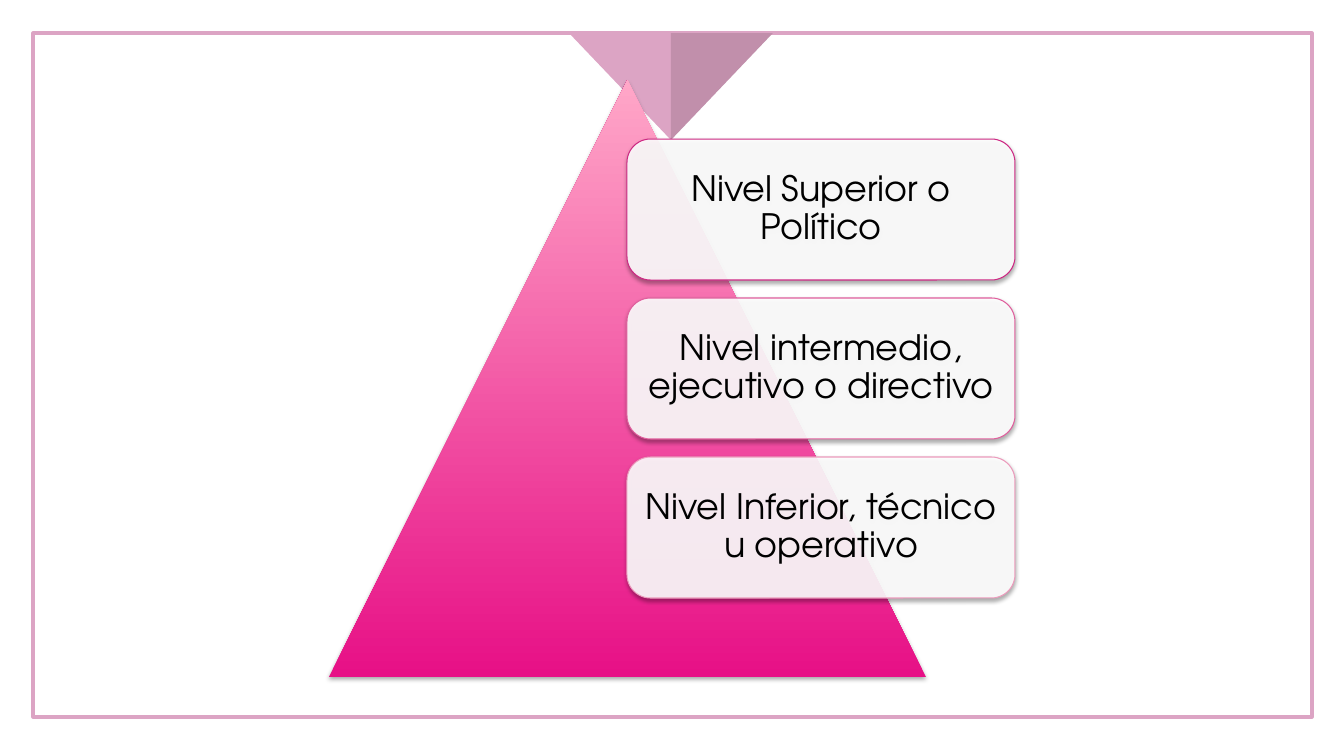
from lxml import etree
from pptx import Presentation
from pptx import util as u
from pptx.dml.color import RGBColor
from pptx.enum import shapes, text
from pptx.oxml import parse_xml
from pptx.oxml.ns import nsdecls, qn

HUES = {
    "frame": "DCA4C4",
    "fold": "C18FAB",
    "base": "E71086",
    "tip": "FFA7C8",
    "card": "FFFFFF",
    "ink": "000000",
    "high": "CE2984",
    "mid": "E05F9D",
    "low": "EC9BBC",
}
LEVELS = [
    ("Nivel Superior o Político", "high"),
    ("Nivel intermedio, ejecutivo o directivo", "mid"),
    ("Nivel Inferior, técnico u operativo", "low"),
]
KIND = shapes.MSO_SHAPE


class Deck:
    font = "TeX Gyre Adventor"
    size = 25
    scale = 914400 / 100.8

    def __init__(self, wide, high):
        self.show = Presentation()
        self.show.slide_width = self.px(wide)
        self.show.slide_height = self.px(high)
        self.slide = self.show.slides.add_slide(self.show.slide_layouts[6])

    def px(self, count):
        return u.Emu(round(count * self.scale))

    def hue(self, name):
        return RGBColor.from_string(HUES[name])

    def shape(self, kind, box, fill=None, line=None, width=0.75):
        item = self.slide.shapes.add_shape(kind, *map(self.px, box))
        item.shadow.inherit = False
        if fill:
            item.fill.solid()
            item.fill.fore_color.rgb = self.hue(fill)
        else:
            item.fill.background()
        if line:
            item.line.color.rgb = self.hue(line)
            item.line.width = u.Pt(width)
        else:
            item.line.fill.background()
        return item

    def shade(self, item):
        glow = parse_xml(
            f'<a:outerShdw {nsdecls("a")} blurRad="{u.Pt(3.1)}" dist="{u.Pt(1.8)}" '
            'dir="5400000" rotWithShape="0"><a:srgbClr val="000000">'
            '<a:alpha val="35000"/></a:srgbClr></a:outerShdw>'
        )
        item._element.spPr.find(qn("a:effectLst")).append(glow)

    def wedge(self, box, fill, flip=False):
        item = self.shape(KIND.RIGHT_TRIANGLE, box, fill)
        item.rotation = 180
        if flip:
            item._element.spPr.find(qn("a:xfrm")).set("flipH", "1")

    def peak(self, box, low, high):
        item = self.shape(KIND.ISOSCELES_TRIANGLE, box)
        item.fill.gradient()
        item.fill.gradient_angle = 90
        for stop, name in zip(item.fill.gradient_stops, (low, high)):
            stop.color.rgb = self.hue(name)
        self.shade(item)

    def card(self, box, words, line):
        item = self.shape(KIND.ROUNDED_RECTANGLE, box, "card", line)
        tint = item._element.spPr.find(qn("a:solidFill"))[0]
        etree.SubElement(tint, qn("a:alpha")).set("val", "90000")
        self.shade(item)
        frame = item.text_frame
        frame.word_wrap = True
        frame.vertical_anchor = text.MSO_ANCHOR.MIDDLE
        frame.margin_left = frame.margin_right = self.px(10)
        frame.margin_top = frame.margin_bottom = self.px(10)
        para = frame.paragraphs[0]
        para.alignment = text.PP_ALIGN.CENTER
        para.line_spacing = 0.9
        run = para.add_run()
        run.text = words
        run.font.name = self.font
        run.font.size = u.Pt(self.size)
        run.font.color.rgb = self.hue("ink")


def main():
    deck = Deck(1344, 756)
    deck.shape(KIND.RECTANGLE, (33, 33, 1279, 684), line="frame", width=2.25)
    deck.wedge((569, 33, 102, 107), "frame")
    deck.wedge((671, 33, 102, 107), "fold", flip=True)
    deck.peak((329, 80, 597, 597), "base", "tip")
    for row, (words, line) in enumerate(LEVELS):
        deck.card((627, 139 + 159 * row, 388, 141), words, line)
    deck.show.save("out.pptx")


if __name__ == "__main__":
    main()
